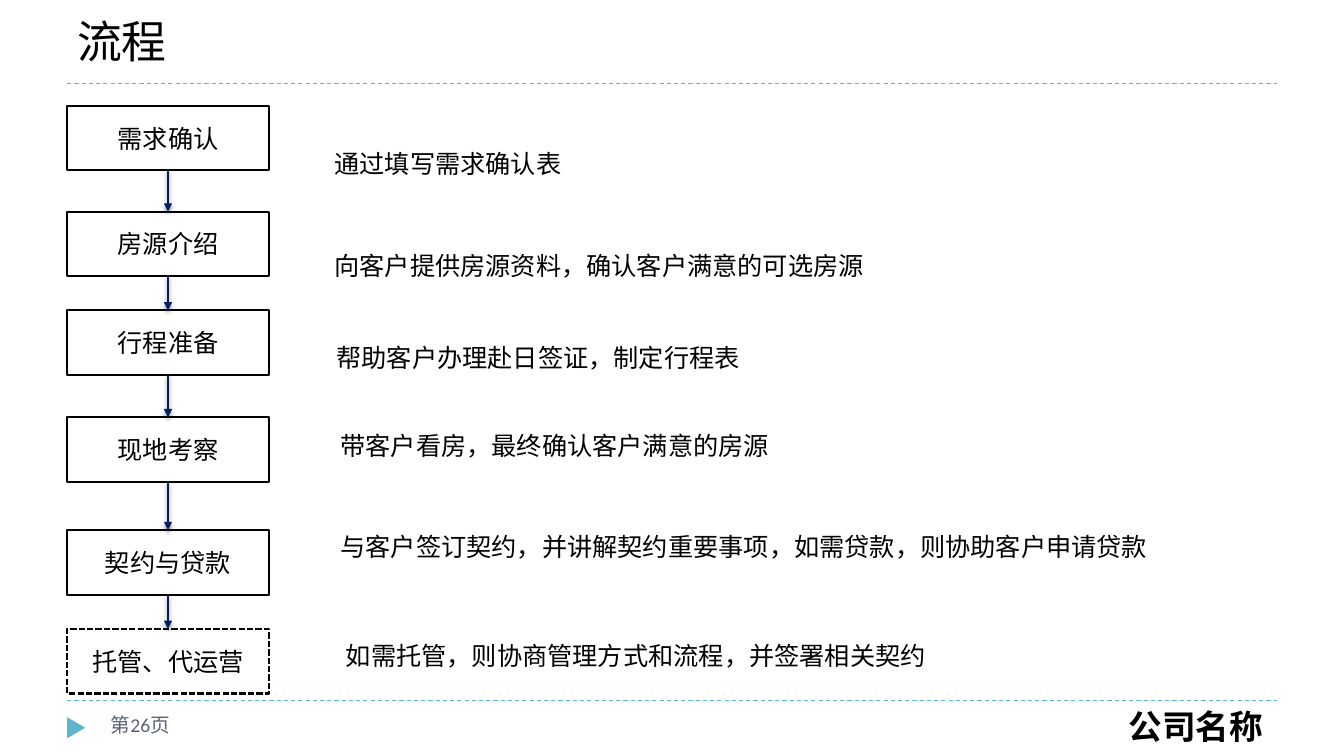
"""Draw a six-step service flow with a note for each step."""
from dataclasses import dataclass
from itertools import pairwise

from lxml.etree import SubElement
from pptx import Presentation
from pptx.dml.color import RGBColor
from pptx.enum.dml import MSO_LINE
from pptx.enum.shapes import MSO_CONNECTOR, MSO_SHAPE
from pptx.enum.text import MSO_ANCHOR, PP_ALIGN
from pptx.oxml.ns import qn
from pptx.shapes.autoshape import Shape
from pptx.shapes.connector import Connector
from pptx.slide import Slide
from pptx.util import Inches, Pt

WIDE, HIGH = Inches(13.33), Inches(7.5)
COL, ROW = WIDE / 40, HIGH / 30
HUES = {"ink": "000000", "paper": "FFFFFF", "rule": "60B5CC",
        "arrow": "002060", "page": "5A6378"}
JP, SC = "Noto Sans CJK JP", "Noto Sans CJK SC"


@dataclass(frozen=True)
class Area:
    """A place on the grid, in columns and rows."""
    col: float
    row: float
    cols: float
    rows: float

    def emu(self) -> tuple[int, int, int, int]:
        return (round(self.col * COL), round(self.row * ROW),
                round(self.cols * COL), round(self.rows * ROW))


@dataclass(frozen=True)
class Type:
    """The look of a run of text."""
    size: int = 18
    latin: str = JP
    asian: str = JP
    hue: str = "ink"
    bold: bool = False
    align: PP_ALIGN = PP_ALIGN.LEFT
    anchor: MSO_ANCHOR = MSO_ANCHOR.TOP


@dataclass(frozen=True)
class Step:
    """A step of the flow and the note beside it."""
    name: str
    row: float
    note: str
    left: float
    top: float
    dashed: bool = False


@dataclass(frozen=True)
class Label:
    """A free line of text."""
    text: str
    area: Area
    style: Type


STEPS = [
    Step("需求确认", 4.2, "通过填写需求确认表", 9.66, 5.68),
    Step("房源介绍", 8.4, "向客户提供房源资料，确认客户满意的可选房源", 9.66, 9.72),
    Step("行程准备", 12.32, "帮助客户办理赴日签证，制定行程表", 9.72, 13.4),
    Step("现地考察", 16.56, "带客户看房，最终确认客户满意的房源", 9.84, 16.88),
    Step("契约与贷款", 21.04,
         "与客户签订契约，并讲解契约重要事项，如需贷款，则协助客户申请贷款", 9.84, 20.88),
    Step("托管、代运营", 24.96,
         "如需托管，则协商管理方式和流程，并签署相关契约", 10, 25.2, True),
]
LABELS = [
    Label("流程", Area(2, 0.32, 36, 2.56),
          Type(32, "Roboto Slab", SC, anchor=MSO_ANCHOR.MIDDLE)),
    Label("第26页", Area(3, 28.08, 6.66, 1.6), Type(14, "Calibri", SC, "page")),
    Label("公司名称", Area(10.5, 27.8, 27.39, 2),
          Type(24, SC, SC, bold=True, align=PP_ALIGN.RIGHT)),
]
NOTE = Type()
NAME = Type(align=PP_ALIGN.CENTER, anchor=MSO_ANCHOR.MIDDLE)


def tint(key: str) -> RGBColor:
    return RGBColor.from_string(HUES[key])


def write(shape: Shape, text: str, style: Type) -> None:
    frame = shape.text_frame
    frame.word_wrap = True
    frame.vertical_anchor = style.anchor
    para = frame.paragraphs[0]
    para.alignment = style.align
    run = para.add_run()
    run.text = text
    font = run.font
    font.size, font.bold, font.name = Pt(style.size), style.bold, style.latin
    font.color.rgb = tint(style.hue)
    SubElement(run.font._element, qn("a:ea"), typeface=style.asian)


def block(slide: Slide, area: Area, fill: str = "paper",
          kind: MSO_SHAPE = MSO_SHAPE.RECTANGLE) -> Shape:
    shape = slide.shapes.add_shape(kind, *area.emu())
    shape.shadow.inherit = False
    shape.fill.solid()
    shape.fill.fore_color.rgb = tint(fill)
    shape.line.fill.background()
    return shape


def line(slide: Slide, row: float, hue: str, width: float) -> Connector:
    left, top, wide, _ = Area(2, row, 36, 0).emu()
    link = slide.shapes.add_connector(
        MSO_CONNECTOR.STRAIGHT, left, top, left + wide, top)
    link.line.color.rgb = tint(hue)
    link.line.width = Pt(width)
    return link


def rule(slide: Slide, row: float) -> None:
    link = line(slide, row, "rule", 0.75)
    link.line.dash_style = MSO_LINE.DASH
    SubElement(link.element.spPr, qn("a:effectLst"))


def arrow(slide: Slide, start: Shape, end: Shape) -> None:
    link = line(slide, 0, "arrow", 1.5)
    link.begin_connect(start, 2)
    link.end_connect(end, 0)
    props = link.element.spPr
    SubElement(props.find(qn("a:ln")), qn("a:tailEnd"), type="triangle")
    glow = SubElement(SubElement(props, qn("a:effectLst")), qn("a:outerShdw"),
                      blurRad=str(Pt(3)), dist=str(Pt(2)), dir="5400000",
                      rotWithShape="0")
    color = SubElement(glow, qn("a:srgbClr"), val=HUES["ink"])
    SubElement(color, qn("a:alpha"), val="40000")


def stage(slide: Slide, step: Step) -> Shape:
    write(block(slide, Area(step.left, step.top, 28.32, 1.6)), step.note, NOTE)
    box = block(slide, Area(2, step.row, 6, 2.56))
    box.line.color.rgb = tint("ink")
    box.line.width = Pt(1.5)
    if step.dashed:
        box.line.dash_style = MSO_LINE.SQUARE_DOT
    write(box, step.name, NAME)
    return box


def main() -> None:
    deck = Presentation()
    deck.slide_width, deck.slide_height = WIDE, HIGH
    slide = deck.slides.add_slide(deck.slide_layouts[6])
    mark = block(slide, Area(1.95, 28.52, 0.63, 0.72), "rule",
                 MSO_SHAPE.ISOSCELES_TRIANGLE)
    mark.rotation = 90
    for row in (3.32, 27.8):
        rule(slide, row)
    for label in LABELS:
        write(slide.shapes.add_textbox(*label.area.emu()), label.text, label.style)
    boxes = [stage(slide, step) for step in STEPS]
    for start, end in pairwise(boxes):
        arrow(slide, start, end)
    deck.save("out.pptx")


if __name__ == "__main__":
    main()
